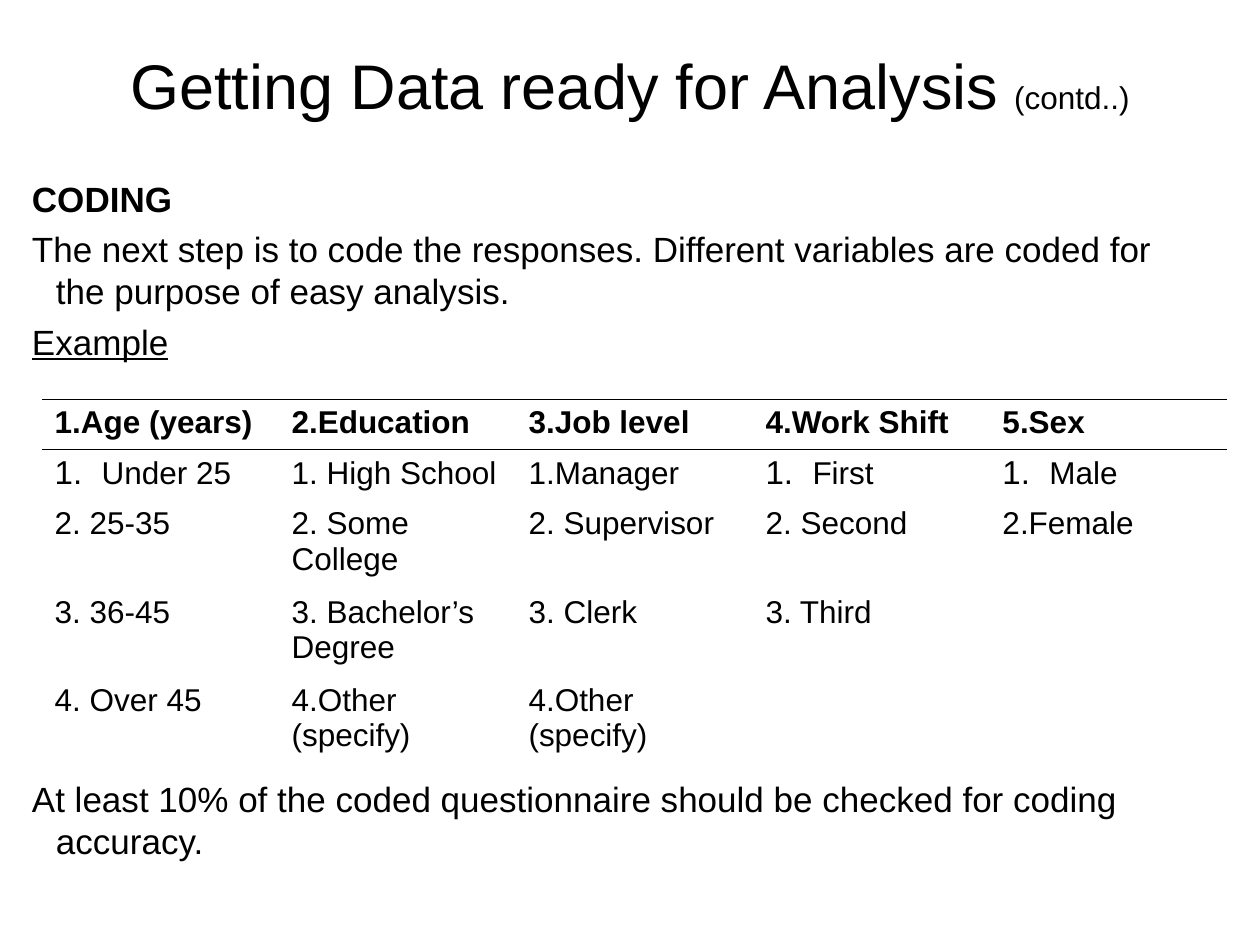
from pptx import Presentation
from pptx.dml.color import RGBColor
from pptx.enum.text import MSO_ANCHOR, PP_ALIGN
from pptx.oxml.ns import qn
from pptx.util import Emu, Pt
from lxml.etree import SubElement

PX = 914400 // 126
FONT = "Arial"
BLACK = RGBColor(0x00, 0x00, 0x00)
RULE_WIDTH = Pt(0.45)

COLUMN_WIDTH = 237
ROW_HEIGHTS = [50, 50, 88, 88, 88]
NUMBERED = {"Under 25", "First", "Male"}
CODES = [
    ["1.Age (years)", "2.Education", "3.Job level", "4.Work Shift", "5.Sex"],
    ["Under 25", "1. High School", "1.Manager", "First", "Male"],
    ["2. 25-35", "2. Some College", "2. Supervisor", "2. Second", "2.Female"],
    ["3. 36-45", "3. Bachelor’s Degree", "3. Clerk", "3. Third", ""],
    ["4. Over 45", "4.Other (specify)", "4.Other (specify)", "", ""],
]
# Text, bold, underline, points before
BODY = [
    ("CODING", True, False, 0),
    ("The next step is to code the responses. Different variables are coded "
     "for the purpose of easy analysis.", False, False, 5),
    ("Example", False, True, 5),
    ("At least 10% of the coded questionnaire should be checked for coding "
     "accuracy.", False, False, 237),
]


def px(length):
    return Emu(length * PX)


def add_run(paragraph, text, size, bold=False, underline=False):
    run = paragraph.add_run()
    run.text = text
    font = run.font
    font.name, font.size, font.color.rgb = FONT, Pt(size), BLACK
    font.bold, font.underline = bold, underline


def set_indent(paragraph, hanging):
    properties = paragraph._p.get_or_add_pPr()
    properties.set("marL", str(px(hanging)))
    properties.set("indent", str(px(-hanging)))
    return properties


def add_frame(slide, left, top, width, height):
    box = slide.shapes.add_textbox(px(left), px(top), px(width), px(height))
    box.text_frame.word_wrap = True
    return box.text_frame


def add_title(slide):
    title = add_frame(slide, 63, 21, 1134, 157)
    title.vertical_anchor = MSO_ANCHOR.MIDDLE
    title.margin_bottom = px(36)
    heading = title.paragraphs[0]
    heading.alignment = PP_ALIGN.CENTER
    add_run(heading, "Getting Data ready for Analysis", 36)
    add_run(heading, " ", 32)
    add_run(heading, "(contd..)", 18)


def add_body(slide):
    body = add_frame(slide, 32, 177, 1165, 726)
    body.margin_left = body.margin_right = 0
    body.margin_top = body.margin_bottom = 0
    for index, (text, bold, underline, before) in enumerate(BODY):
        paragraph = body.add_paragraph() if index else body.paragraphs[0]
        set_indent(paragraph, 24)
        paragraph.line_spacing = Pt(24)
        paragraph.space_before = Pt(before)
        add_run(paragraph, text, 20, bold, underline)


def set_borders(cell, ruled_sides):
    properties = cell._tc.get_or_add_tcPr()
    for side in ("L", "R", "T", "B"):
        line = SubElement(properties, qn(f"a:ln{side}"), w=str(RULE_WIDTH))
        if side in ruled_sides:
            fill = SubElement(line, qn("a:solidFill"))
            SubElement(fill, qn("a:srgbClr"), val=str(BLACK))
        else:
            SubElement(line, qn("a:noFill"))


def add_number(paragraph):
    properties = set_indent(paragraph, 47)
    color = SubElement(properties, qn("a:buClr"))
    SubElement(color, qn("a:srgbClr"), val=str(BLACK))
    SubElement(properties, qn("a:buSzPct"), val="105000")
    SubElement(properties, qn("a:buFont"), typeface=FONT)
    SubElement(properties, qn("a:buAutoNum"), type="arabicPeriod")


def add_code_table(slide):
    columns = len(CODES[0])
    table = slide.shapes.add_table(
        len(CODES), columns, px(42), px(399),
        px(columns * COLUMN_WIDTH), px(sum(ROW_HEIGHTS))).table
    table.horz_banding = False
    for column in table.columns:
        column.width = px(COLUMN_WIDTH)
    for row, (height, labels) in enumerate(zip(ROW_HEIGHTS, CODES)):
        table.rows[row].height = px(height)
        ruled_sides = {0: "TB", 1: "T"}.get(row, "")
        for column, label in enumerate(labels):
            cell = table.cell(row, column)
            set_borders(cell, ruled_sides)
            cell.fill.background()
            paragraph = cell.text_frame.paragraphs[0]
            if label in NUMBERED:
                add_number(paragraph)
            if label:
                add_run(paragraph, label, 18, bold=row == 0)


def main():
    presentation = Presentation()
    presentation.slide_width, presentation.slide_height = px(1260), px(945)
    slide = presentation.slides.add_slide(presentation.slide_layouts[6])

    # Heading, explanation, then the coding example
    add_title(slide)
    add_body(slide)
    add_code_table(slide)
    presentation.save("out.pptx")


if __name__ == "__main__":
    main()
